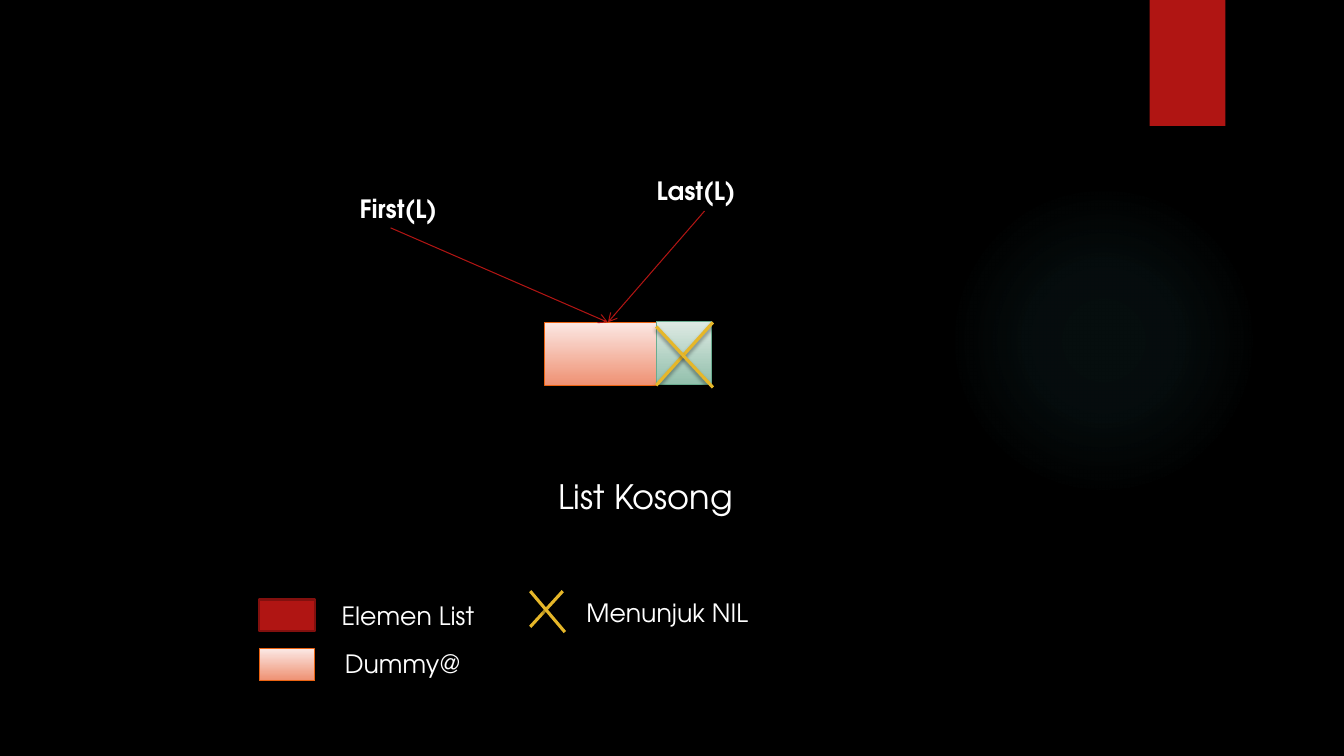
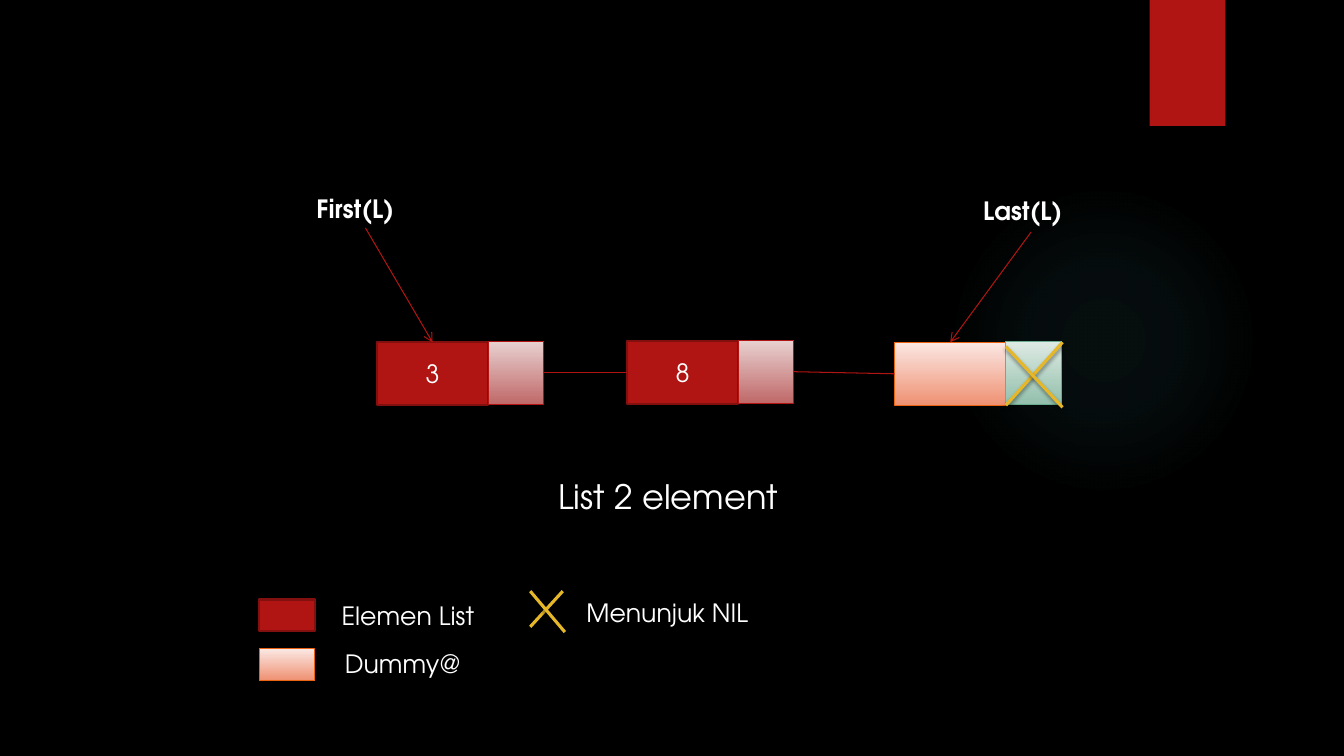
from lxml import etree
from pptx import Presentation
from pptx.dml.color import RGBColor as Rgb
from pptx.enum.shapes import MSO_CONNECTOR as Link, MSO_SHAPE as Form
from pptx.enum.text import MSO_ANCHOR as Anchor, MSO_AUTO_SIZE as Auto, PP_ALIGN as Align
from pptx.oxml import parse_xml
from pptx.oxml.ns import nsdecls, qn
from pptx.util import Pt

PX = 9525
FONT = "TeX Gyre Adventor"
HUES = {
    "back": "000000", "text": "FFFFFF", "red": "B01513", "edge": "82100E",
    "gold": "E6B729", "glow": "50B9C1",
}
# Fill (one colour or a top and a bottom one), line colour, line width
LOOKS = {
    "item": (("B01513",), "82100E", 1.5),
    "next": (("E8D1D0", "C06969"), "B01513", 0.75),
    "dummy": (("FBE8E4", "EF9173"), "EA6312", 0.75),
    "nil": (("DEEAE4", "93C0AC"), "6AAC90", 0.75),
}
CELL, TAIL, HIGH = 106, 53, 60
TOP, LEFT, RIGHT = 0, 1, 3


def emu(*sizes):
    return [size * PX for size in sizes]


def hue(code):
    return Rgb.from_string(code)


def effect(shape, shade=False):
    """Replace the theme's shadow by a soft one or by none."""
    fx = etree.SubElement(shape.element.spPr, qn("a:effectLst"))
    if shade:
        drop = etree.SubElement(fx, qn("a:outerShdw"), blurRad=str(Pt(3)),
                                dist=str(Pt(2)), dir="5400000", rotWithShape="0")
        tint = etree.SubElement(drop, qn("a:srgbClr"), val=HUES["back"])
        etree.SubElement(tint, qn("a:alpha"), val="45000")


def write(frame, text, size=18, bold=False, align=Align.LEFT, anchor=Anchor.TOP):
    frame.word_wrap = True
    frame.vertical_anchor = anchor
    frame.text = text
    line = frame.paragraphs[0]
    line.alignment = align
    font = line.runs[0].font
    font.name, font.size, font.bold = FONT, Pt(size), bold
    font.color.rgb = hue(HUES["text"])


class Deck:
    def __init__(self):
        self.prs = Presentation()
        self.prs.slide_width, self.prs.slide_height = emu(1280, 720)
        self.slide = None

    def start(self, title):
        first = self.slide is None
        self.slide = self.prs.slides.add_slide(self.prs.slide_layouts[5])
        if first:
            self.brand()
        head = self.slide.shapes.title
        head.left, head.top, head.width, head.height = emu(522, 448, 256, 48)
        write(head.text_frame, title, size=24)
        head.text_frame.auto_size = Auto.SHAPE_TO_FIT_TEXT

    def brand(self):
        """Give the master its background, glow and red tab."""
        master = self.prs.slide_master
        back = master.background.fill
        back.solid()
        back.fore_color.rgb = hue(HUES["back"])
        glow = self.slide.shapes.add_shape(Form.OVAL, *emu(903, 176, 296, 296))
        glow.line.fill.background()
        glow.fill.background()
        stops = "".join(
            f'<a:gs pos="{pos}000"><a:srgbClr val="{HUES["glow"]}">'
            f'<a:alpha val="{part}000"/></a:srgbClr></a:gs>'
            for pos, part in ((0, 7), (36, 6), (69, 0)))
        props = glow.element.spPr
        props.replace(props.find(qn("a:noFill")), parse_xml(
            f'<a:gradFill {nsdecls("a")}><a:gsLst>{stops}</a:gsLst><a:path path="circle">'
            '<a:fillToRect l="50000" t="50000" r="50000" b="50000"/></a:path></a:gradFill>'))
        effect(glow)
        tab = self.slide.shapes.add_shape(Form.RECTANGLE, *emu(1095, 0, 72, 120))
        tab.fill.solid()
        tab.fill.fore_color.rgb = hue(HUES["red"])
        tab.line.fill.background()
        effect(tab, shade=True)
        for place, shape in enumerate((glow, tab), 2):
            master.shapes.element.insert(place, shape.element)

    def box(self, look, x, y, wide, high, text=""):
        fills, edge, width = LOOKS[look]
        box = self.slide.shapes.add_shape(Form.RECTANGLE, *emu(x, y, wide, high))
        if len(fills) == 1:
            box.fill.solid()
            box.fill.fore_color.rgb = hue(fills[0])
        else:
            box.fill.gradient()
            box.fill.gradient_angle = 270
            for stop, code, pos in zip(box.fill.gradient_stops, fills, (0, 1)):
                stop.color.rgb, stop.position = hue(code), pos
        box.line.color.rgb, box.line.width = hue(edge), Pt(width)
        effect(box)
        if text:
            write(box.text_frame, text, align=Align.CENTER, anchor=Anchor.MIDDLE)
        return box

    def label(self, text, x, y, wide, **style):
        box = self.slide.shapes.add_textbox(*emu(x, y, wide, 38))
        write(box.text_frame, text, **style)
        box.text_frame.auto_size = Auto.SHAPE_TO_FIT_TEXT

    def line(self, start, end, color="red", width=0.75, arrow=False, shade=False):
        """Draw from start to end, each a point or a (shape, side) pair."""
        points = [(0, 0) if hasattr(a, "element") else (a, b) for a, b in (start, end)]
        line = self.slide.shapes.add_connector(Link.STRAIGHT, *emu(*points[0], *points[1]))
        for (shape, side), join in ((start, line.begin_connect), (end, line.end_connect)):
            if hasattr(shape, "element"):
                join(shape, side)
        line.line.color.rgb, line.line.width = hue(HUES[color]), Pt(width)
        if arrow:
            etree.SubElement(line.element.spPr.find(qn("a:ln")), qn("a:tailEnd"), type="arrow")
        effect(line, shade)

    def cross(self, rise, fall):
        for x1, y1, x2, y2 in (rise, fall):
            self.line((x1, y1), (x2, y2), color="gold", width=2.25, shade=True)

    def node(self, x, y, text):
        cell = self.box("item", x, y, CELL, HIGH, text)
        return cell, self.box("next", x + CELL, y - 1, TAIL, HIGH)

    def dummy(self, x, y):
        cell = self.box("dummy", x, y, CELL, HIGH)
        near = x + CELL
        far = near + TAIL + 1
        self.box("nil", near, y - 1, TAIL, HIGH)
        self.cross((near, y + HIGH, far, y), (near, y + 4, far, y + HIGH + 2))
        return cell

    def point(self, text, x, y, start, end):
        """Name a pointer and draw its arrow."""
        self.label(text, x, y, 110, bold=True)
        self.line(start, end, arrow=True)

    def legend(self):
        for look, text, y, x, top in (("item", "Elemen List", 571, 316, 567),
                                      ("dummy", "Dummy@", 618, 319, 613)):
            self.box(look, 247, y, TAIL, 30)
            self.label(text, x, top, 158)
        self.cross((505, 597, 536, 563), (505, 563, 538, 602))
        self.label("Menunjuk NIL", 549, 564, 229)


def main():
    deck = Deck()

    deck.start("List Kosong")
    deck.dummy(519, 307)
    deck.point("First(L)", 333, 179, (372, 217), (579, 307))
    deck.point("Last(L)", 616, 162, (671, 201), (579, 307))
    deck.legend()

    deck.start("List 2 element")
    three, after = deck.node(359, 326, "3")
    eight, last = deck.node(597, 325, "8")
    dummy = deck.dummy(852, 326)
    deck.line((after, RIGHT), (eight, LEFT))
    deck.line((last, RIGHT), (dummy, LEFT))
    deck.point("First(L)", 292, 179, (348, 217), (three, TOP))
    deck.point("Last(L)", 927, 181, (982, 221), (dummy, TOP))
    deck.legend()

    deck.prs.save("out.pptx")


if __name__ == "__main__":
    main()
